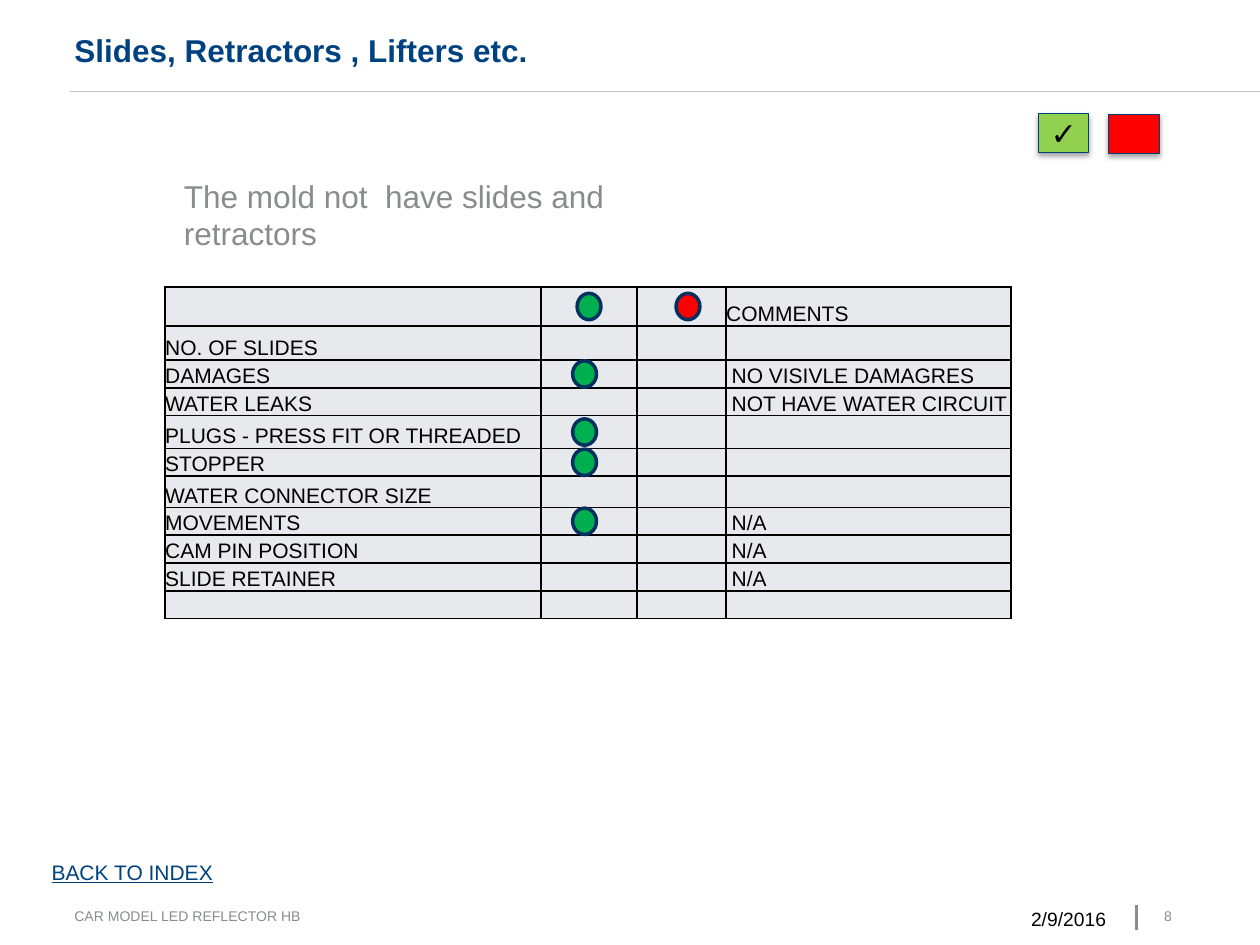
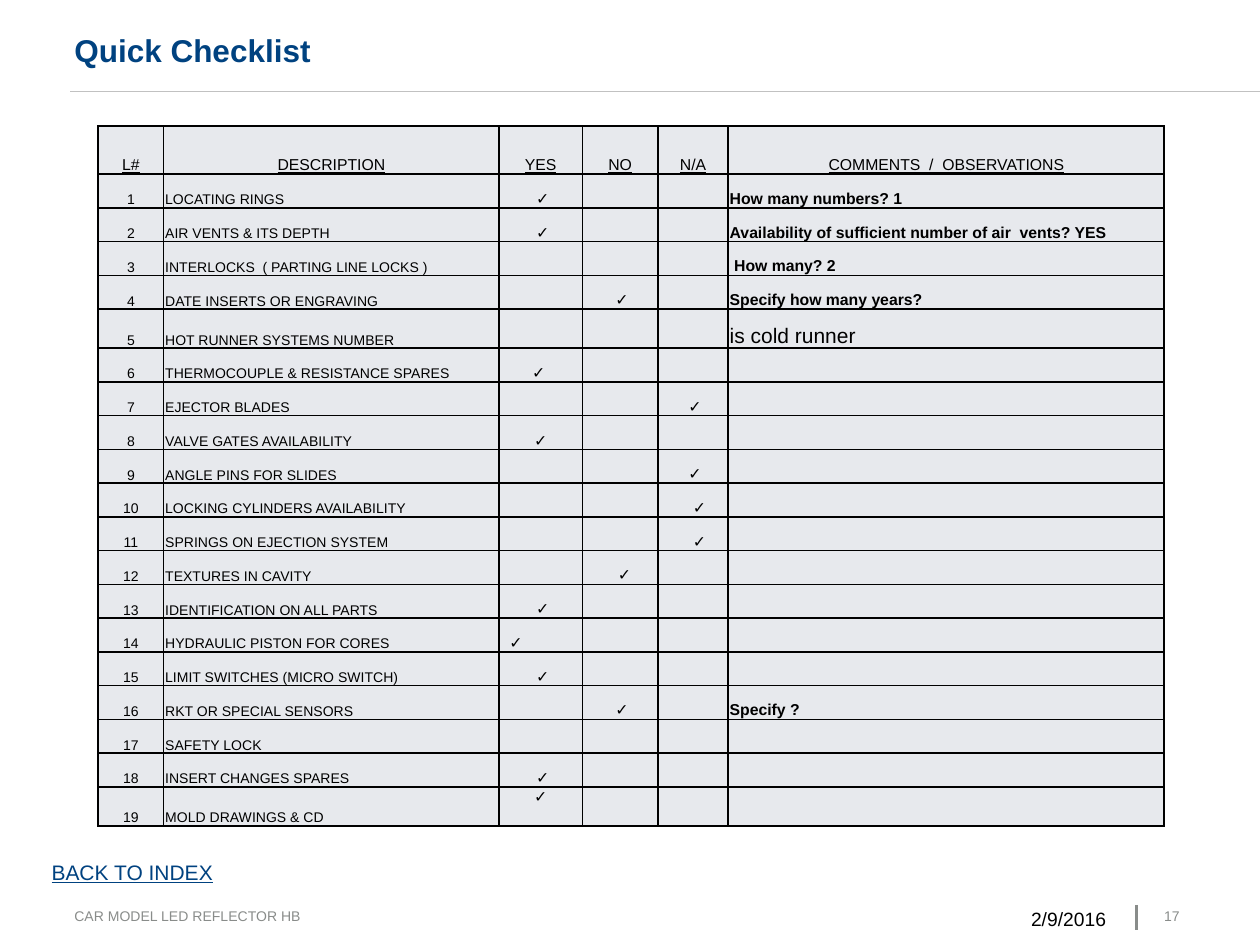
from lxml.etree import SubElement
from pptx import Presentation
from pptx.dml.color import RGBColor
from pptx.enum.shapes import MSO_CONNECTOR, MSO_SHAPE
from pptx.enum.text import MSO_ANCHOR, PP_ALIGN
from pptx.oxml.ns import qn
from pptx.util import Cm, Pt

COLORS = {
    "title": "004280",
    "gray": "898C8A",
    "rule": "C1C1C1",
    "cell": "E7E9ED",
    "black": "000000",
    "green": "00B050",
    "light_green": "92D050",
    "red": "FF0000",
    "dot_line": "00315F",
    "badge_line": "00417D",
}
FONT = "Arial"
CHECK = "✓"
FOOTER = "CAR MODEL LED REFLECTOR HB"
DATE = "2/9/2016"
INDEX_LABEL = "BACK TO INDEX"

MOLD_TITLE = "Slides, Retractors , Lifters etc."
MOLD_NOTE = "The mold not  have slides and retractors"
MOLD_ORIGIN = (3.33, 5.79)
MOLD_COLUMNS = [7.58, 1.93, 1.8, 5.74]
MOLD_ROWS = [
    (0.78, "", "COMMENTS"),
    (0.69, "NO. OF SLIDES", ""),
    (0.56, "DAMAGES", "NO VISIVLE DAMAGRES"),
    (0.56, "WATER LEAKS", "NOT HAVE WATER CIRCUIT"),
    (0.66, "PLUGS - PRESS FIT OR THREADED", ""),
    (0.56, "STOPPER", ""),
    (0.63, "WATER CONNECTOR SIZE", ""),
    (0.56, "MOVEMENTS", "N/A"),
    (0.56, "CAM PIN POSITION", "N/A"),
    (0.56, "SLIDE RETAINER", "N/A"),
    (0.56, "", ""),
]
DOT_SIZE = (0.48, 0.53)
DOTS = [
    (0, 1, 0, "green"),
    (0, 2, 0.13, "red"),
    (2, 1, -0.09, "green"),
    (4, 1, -0.09, "green"),
    (5, 1, -0.09, "green"),
    (7, 1, -0.09, "green"),
]
BADGES = [(20.93, 2.29, "light_green", CHECK), (22.35, 2.31, "red", "")]

CHECKLIST_TITLE = "Quick Checklist"
CHECKLIST_ORIGIN = (1.98, 2.54)
CHECKLIST_COLUMNS = [1.32, 6.76, 1.68, 1.52, 1.42, 8.79]
CHECKLIST_HEADER = ["L#", "DESCRIPTION", "YES", "NO", "N/A", "COMMENTS  /  OBSERVATIONS"]
HEADER_HEIGHT, ROW_HEIGHT, TALL_HEIGHT = 0.97, 0.68, 0.79
TALL_ITEMS = (5, 19)
YES, NO, NOT_APPLICABLE = 2, 3, 4
CHECKLIST = [
    ("LOCATING RINGS", YES, 0.04, "How many numbers? 1"),
    ("AIR VENTS & ITS DEPTH", YES, 0.04, "Availability of sufficient number of air  vents? YES"),
    ("INTERLOCKS  ( PARTING LINE LOCKS )", None, 0, "How many? 2"),
    ("DATE INSERTS OR ENGRAVING", NO, 0.04, "Specify how many years?"),
    ("HOT RUNNER SYSTEMS NUMBER", None, 0, "is cold runner"),
    ("THERMOCOUPLE & RESISTANCE SPARES", YES, -0.04, ""),
    ("EJECTOR BLADES", NOT_APPLICABLE, 0.04, ""),
    ("VALVE GATES AVAILABILITY", YES, 0, ""),
    ("ANGLE PINS FOR SLIDES", NOT_APPLICABLE, 0.04, ""),
    ("LOCKING CYLINDERS AVAILABILITY", NOT_APPLICABLE, 0.13, ""),
    ("SPRINGS ON EJECTION SYSTEM", NOT_APPLICABLE, 0.13, ""),
    ("TEXTURES IN CAVITY", NO, 0.09, ""),
    ("IDENTIFICATION ON ALL PARTS", YES, 0.04, ""),
    ("HYDRAULIC PISTON FOR CORES", YES, -0.5, ""),
    ("LIMIT SWITCHES (MICRO SWITCH)", YES, 0.04, ""),
    ("RKT OR SPECIAL SENSORS", NO, 0.04, "Specify ?"),
    ("SAFETY LOCK", None, 0, ""),
    ("INSERT CHANGES SPARES", YES, 0.04, ""),
    ("MOLD DRAWINGS & CD", YES, 0, ""),
]


def rgb(name):
    return RGBColor.from_string(COLORS[name])


def write(frame, text, size, color="black", bold=False, underline=False, align=PP_ALIGN.LEFT):
    paragraph = frame.paragraphs[0]
    paragraph.alignment = align
    paragraph.font.name = FONT
    paragraph.font.size = Pt(size)
    paragraph.font.bold = bold
    paragraph.font.underline = underline
    paragraph.font.color.rgb = rgb(color)
    if text:
        paragraph.add_run().text = text
    else:
        SubElement(paragraph._p, qn("a:endParaRPr"), sz=str(size * 100))
    return paragraph


def add_text(slide, box, text, size, inset=0, wrap=True, anchor=MSO_ANCHOR.TOP, **style):
    frame = slide.shapes.add_textbox(*map(Cm, box)).text_frame
    frame.word_wrap = wrap
    frame.vertical_anchor = anchor
    frame.margin_left = frame.margin_right = Cm(inset)
    frame.margin_top = frame.margin_bottom = Cm(inset / 2)
    return write(frame, text, size, **style)


def add_line(slide, start, end, color, width):
    line = slide.shapes.add_connector(MSO_CONNECTOR.STRAIGHT, *map(Cm, start + end))
    line.line.color.rgb = rgb(color)
    line.line.width = Pt(width)
    SubElement(line._element.spPr, qn("a:effectLst"))


def add_shape(slide, kind, box, fill, line_color, line_width):
    shape = slide.shapes.add_shape(kind, *map(Cm, box))
    shape.shadow.inherit = False
    shape.fill.solid()
    shape.fill.fore_color.rgb = rgb(fill)
    shape.line.color.rgb = rgb(line_color)
    shape.line.width = Pt(line_width)
    return shape


def add_shadow(shape):
    effects = shape._element.spPr.find(qn("a:effectLst"))
    shadow = SubElement(effects, qn("a:outerShdw"), blurRad=str(Pt(3.1)), dist=str(Pt(1.8)),
                        dir="5400000", rotWithShape="0")
    color = SubElement(shadow, qn("a:srgbClr"), val=COLORS["black"])
    SubElement(color, qn("a:alpha"), val="35000")


def add_borders(cell):
    properties = cell._tc.get_or_add_tcPr()
    for index, side in enumerate(("lnL", "lnR", "lnT", "lnB")):
        border = properties.makeelement(qn(f"a:{side}"), {"w": str(Pt(1))})
        fill = SubElement(border, qn("a:solidFill"))
        SubElement(fill, qn("a:srgbClr"), val=COLORS["black"])
        properties.insert(index, border)


def add_grid(slide, origin, columns, heights, inset):
    box = (*origin, sum(columns), sum(heights))
    table = slide.shapes.add_table(len(heights), len(columns), *map(Cm, box)).table
    table.first_row = table.horz_banding = False
    for column, width in zip(table.columns, columns):
        column.width = Cm(width)
    for row, height in zip(table.rows, heights):
        row.height = Cm(height)
    for cell in table.iter_cells():
        cell.fill.solid()
        cell.fill.fore_color.rgb = rgb("cell")
        cell.vertical_anchor = MSO_ANCHOR.BOTTOM
        cell.margin_left = cell.margin_right = cell.margin_top = Cm(inset)
        cell.margin_bottom = 0
        add_borders(cell)
    return table


def shift_text(cell, shift, inset):
    cell.margin_left = Cm(inset + max(0, 2 * shift))
    cell.margin_right = Cm(inset + max(0, -2 * shift))


def add_frame(presentation, title, number):
    slide = presentation.slides.add_slide(presentation.slide_layouts[6])
    add_line(slide, (22.91, 18.24), (22.91, 18.75), "gray", 1.5)
    add_line(slide, (1.42, 1.83), (25.4, 1.83), "rule", 0.1)
    heading = add_text(slide, (1.5, 0.56, 16.81, 0.89), title, 18, anchor=MSO_ANCHOR.MIDDLE,
                       color="title", bold=True)
    heading.line_spacing = Pt(22)
    add_text(slide, (18.36, 18.29, 3.94, 0.58), DATE, 11, align=PP_ALIGN.RIGHT)
    add_text(slide, (0.79, 17.2, 3.81, 0.76), INDEX_LABEL, 12, inset=0.25, wrap=False,
             color="title", underline=True)
    add_text(slide, (1.5, 18.29, 10.49, 0.66), FOOTER, 8, wrap=False, color="gray")
    add_text(slide, (23.47, 18.29, 0.89, 0.56), str(number), 8, color="gray")
    return slide


def build_mold_slide(presentation):
    slide = add_frame(presentation, MOLD_TITLE, 8)
    note = add_text(slide, (3.71, 3.56, 11, 4.06), MOLD_NOTE, 18, color="gray")
    note.space_before = Pt(4.3)

    heights = [height for height, _, _ in MOLD_ROWS]
    table = add_grid(slide, MOLD_ORIGIN, MOLD_COLUMNS, heights, 0)
    for row, (_, label, comment) in enumerate(MOLD_ROWS):
        for column, text in enumerate((label, "", "", comment)):
            write(table.cell(row, column).text_frame, text, 12)
        if row:
            table.cell(row, 3).margin_left = Cm(0.11)

    left, top = MOLD_ORIGIN
    width, height = DOT_SIZE
    for row, column, shift, color in DOTS:
        center_x = left + sum(MOLD_COLUMNS[:column]) + MOLD_COLUMNS[column] / 2 + shift
        center_y = top + sum(heights[:row]) + heights[row] / 2
        box = (center_x - width / 2, center_y - height / 2, width, height)
        add_shape(slide, MSO_SHAPE.OVAL, box, color, "dot_line", 2)

    for badge_left, badge_top, color, mark in BADGES:
        badge = add_shape(slide, MSO_SHAPE.RECTANGLE, (badge_left, badge_top, 1.02, 0.79),
                          color, "badge_line", 0.75)
        add_shadow(badge)
        if mark:
            badge.text_frame.vertical_anchor = MSO_ANCHOR.MIDDLE
            write(badge.text_frame, mark, 18, align=PP_ALIGN.CENTER)


def build_checklist_slide(presentation):
    slide = add_frame(presentation, CHECKLIST_TITLE, 17)
    inset = 0.03
    heights = [HEADER_HEIGHT] + [
        TALL_HEIGHT if item in TALL_ITEMS else ROW_HEIGHT
        for item in range(1, len(CHECKLIST) + 1)
    ]
    table = add_grid(slide, CHECKLIST_ORIGIN, CHECKLIST_COLUMNS, heights, inset)
    for column, text in enumerate(CHECKLIST_HEADER):
        write(table.cell(0, column).text_frame, text, 9, underline=True, align=PP_ALIGN.CENTER)

    for item, (description, answer, shift, comment) in enumerate(CHECKLIST, 1):
        cells = table.rows[item].cells
        write(cells[0].text_frame, str(item), 8, align=PP_ALIGN.CENTER)
        write(cells[1].text_frame, description, 8)
        for column in (YES, NO, NOT_APPLICABLE):
            mark = CHECK if column == answer else ""
            write(cells[column].text_frame, mark, 9, align=PP_ALIGN.CENTER)
        if answer:
            shift_text(cells[answer], shift, inset)
        plain = comment == "is cold runner"
        write(cells[5].text_frame, comment, 12 if plain else 9, bold=not plain)
    table.cell(3, 5).margin_left = Cm(0.12)
    table.cell(len(CHECKLIST), YES).vertical_anchor = MSO_ANCHOR.TOP


def main():
    presentation = Presentation()
    presentation.slide_width = Cm(25.4)
    presentation.slide_height = Cm(19.05)
    build_mold_slide(presentation)
    build_checklist_slide(presentation)
    presentation.save("out.pptx")


if __name__ == "__main__":
    main()
